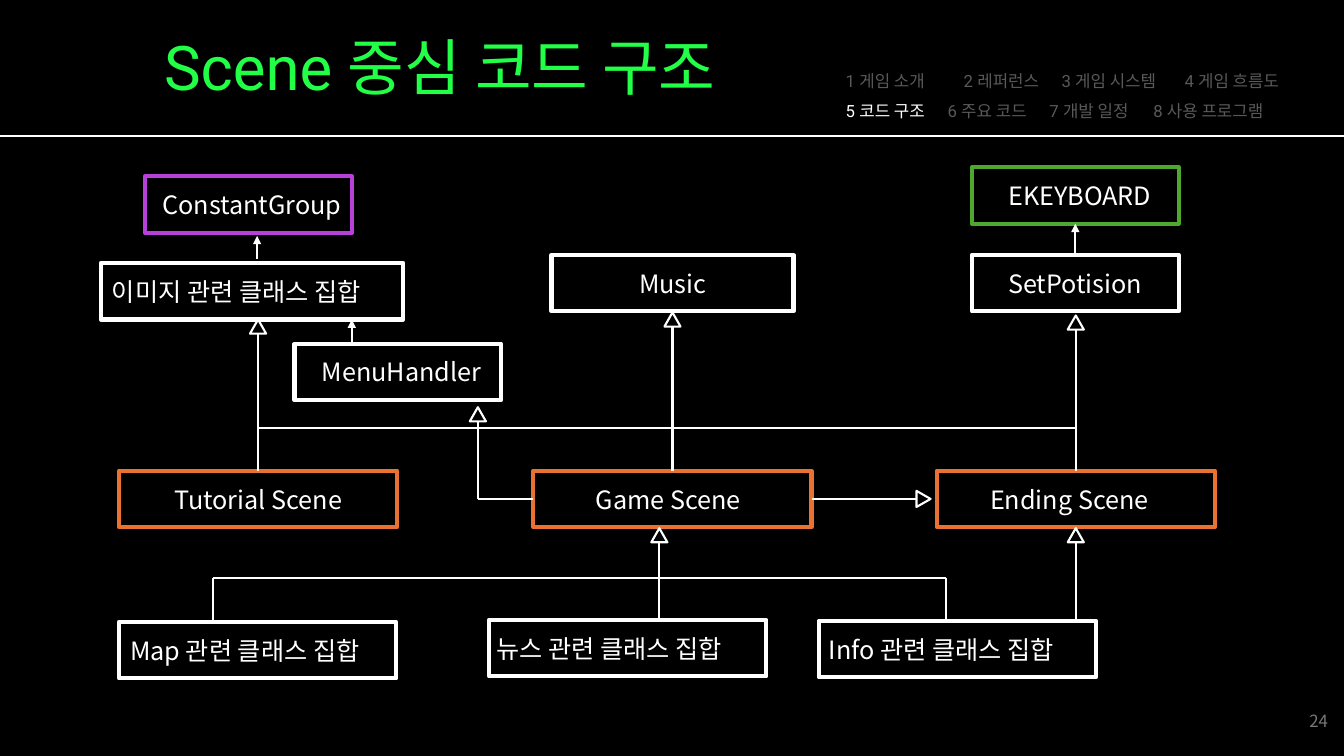
from lxml import etree
from pptx import Presentation
from pptx import util as u
from pptx.dml.color import RGBColor
from pptx.enum import shapes, text
from pptx.oxml import ns

PX = 9144
SANS, ROBOTO = "Noto Sans CJK KR", "Roboto"
WHITE, BLACK, GRAY, NUMBER = "FFFFFF", "000000", "595959", "797979"
LIME, GREEN, PURPLE, ORANGE = "21FF46", "4EA72E", "B640D9", "E97132"
BOX_H, HEAD_W, HEAD_H = 56, 16, 14
TOP, LEFT, BOTTOM, RIGHT = range(4)


def px(*lengths):
    return [u.Emu(round(v * PX)) for v in lengths]


def color(hex_string):
    return RGBColor.from_string(hex_string)


def sub(parent, tag, **attrs):
    return etree.SubElement(parent, ns.qn(tag), attrs)


def add_run(p, words, size, font, fill):
    r = p.add_run()
    r.text = words
    r.font.size = u.Pt(size)
    r.font.name = font
    r.font.color.rgb = color(fill)
    sub(r.font._element, "a:ea", typeface=SANS)


def add_text(s, x, y, w, h):
    tf = s.shapes.add_textbox(*px(x, y, w, h)).text_frame
    tf.word_wrap = True
    return tf


def add_outline(s, kind, x, y, w, h, line, weight):
    sp = s.shapes.add_shape(kind, *px(x, y, w, h))
    sp.shadow.inherit = False
    sp.fill.background()
    sp.line.color.rgb = color(line)
    sp.line.width = u.Pt(weight)
    return sp


def add_line(s, x1, y1, x2, y2, begin=None, end=None, arrow=False):
    c = s.shapes.add_connector(shapes.MSO_CONNECTOR.STRAIGHT, *px(x1, y1, x2, y2))
    c.line.color.rgb = color(WHITE)
    c.line.width = u.Pt(1.5)
    if arrow:
        sub(c.line._get_or_add_ln(), "a:tailEnd", type="triangle")
    sub(c._element.spPr, "a:effectLst")
    if begin:
        c.begin_connect(*begin)
    if end:
        c.end_connect(*end)


def add_head(s, cx, cy, rotation=0):
    sp = add_outline(s, shapes.MSO_SHAPE.ISOSCELES_TRIANGLE, cx - HEAD_W / 2,
                     cy - HEAD_H / 2, HEAD_W, HEAD_H, WHITE, 1.5)
    sp.rotation = rotation


def class_box(s, name, x, y, w, inset, line=WHITE):
    sp = add_outline(s, shapes.MSO_SHAPE.RECTANGLE, x, y, w, BOX_H, line, 3)
    tf = sp.text_frame
    tf.word_wrap = True
    tf.margin_left, tf.margin_right = px(inset, 0)
    tf.vertical_anchor = text.MSO_ANCHOR.MIDDLE
    p = tf.paragraphs[0]
    p.alignment = text.PP_ALIGN.LEFT
    add_run(p, name, 18, SANS, WHITE)
    return sp


def header(s, x, y, w, h):
    p = add_text(s, x + 153, y + 24, 651, 84).paragraphs[0]
    add_run(p, "Scene 중심 코드 구조", 44, ROBOTO, LIME)
    add_line(s, x, y + h, x + w, y + h)
    menu(s, x + 829, y + 55, 504, 66)


def menu(s, x, y, w, h):
    rows = [
        (["1 게임 소개", "2 레퍼런스", "3 게임 시스템", "4 게임 흐름도"], [117, 214, 336]),
        (["5 코드 구조", "6 주요 코드", "7 개발 일정", "8 사용 프로그램"], [101, 202, 305]),
    ]
    tf = add_text(s, x, y, w, h)
    for i, (items, stops) in enumerate(rows):
        p = tf.add_paragraph() if i else tf.paragraphs[0]
        p.line_spacing = 1.5
        tabs = sub(p._p.get_or_add_pPr(), "a:tabLst")
        for stop in stops:
            sub(tabs, "a:tab", pos=str(stop * PX), algn="l")
        for j, item in enumerate(items):
            current = item.startswith("5")
            add_run(p, "\t" + item if j else item, 12, ROBOTO, WHITE if current else GRAY)


def diagram(s, x, y):
    def box(name, bx, by, w, inset, line=WHITE):
        return class_box(s, name, x + bx, y + by, w, inset, line)

    def line(x1, y1, x2, y2, **ends):
        add_line(s, x + x1, y + y1, x + x2, y + y2, **ends)

    keyboard = box("EKEYBOARD", 864, 0, 205, 36, GREEN)
    position = box("SetPotision", 864, 87, 205, 36)
    box("ConstantGroup", 44, 9, 205, 17, PURPLE)
    box("이미지 관련 클래스 집합", 0, 95, 300, 11)
    box("Music", 447, 87, 240, 87)
    box("MenuHandler", 192, 175, 205, 27)
    tutorial = box("Tutorial Scene", 18, 301, 276, 55, ORANGE)
    game = box("Game Scene", 429, 301, 276, 62, ORANGE)
    ending = box("Ending Scene", 829, 301, 276, 53, ORANGE)
    box("Map 관련 클래스 집합", 18, 451, 275, 11)
    box("뉴스 관련 클래스 집합", 385, 449, 275, 7)
    box("Info 관련 클래스 집합", 712, 450, 275, 10)

    line(967, 87, 967, 56, begin=(position, TOP), end=(keyboard, BOTTOM), arrow=True)
    line(155, 91, 155, 68, arrow=True)
    line(249, 175, 249, 151, arrow=True)

    for cx, start, tip, begin in [
        (156, 301, 151, (tutorial, TOP)),
        (567, 301, 144, (game, TOP)),
        (967, 301, 147, (ending, TOP)),
        (374, 329, 238, None),
        (554, 449, 358, None),
        (967, 450, 358, None),
    ]:
        add_head(s, x + cx, y + tip + HEAD_H / 2)
        line(cx, start, cx, tip + HEAD_H, begin=begin)

    line(967, 259, 156, 259)
    line(111, 407, 838, 407)
    line(111, 451, 111, 407)
    line(838, 450, 838, 407)
    line(429, 329, 374, 329, begin=(game, LEFT))
    line(705, 329, 809, 329, begin=(game, RIGHT))
    add_head(s, x + 816, y + 329, 90)


def page_number(s, x, y, w, h):
    tf = add_text(s, x, y, w, h)
    tf.vertical_anchor = text.MSO_ANCHOR.MIDDLE
    p = tf.paragraphs[0]
    p.alignment = text.PP_ALIGN.RIGHT
    add_run(p, "24", 12, SANS, NUMBER)


def main():
    prs = Presentation()
    prs.slide_width, prs.slide_height = px(1333, 750)
    s = prs.slides.add_slide(prs.slide_layouts[6])
    s.background.fill.solid()
    s.background.fill.fore_color.rgb = color(BLACK)
    header(s, 0, 0, 1333, 135)
    diagram(s, 100, 166)
    page_number(s, 1027, 695, 300, 40)
    prs.save("out.pptx")


if __name__ == "__main__":
    main()
